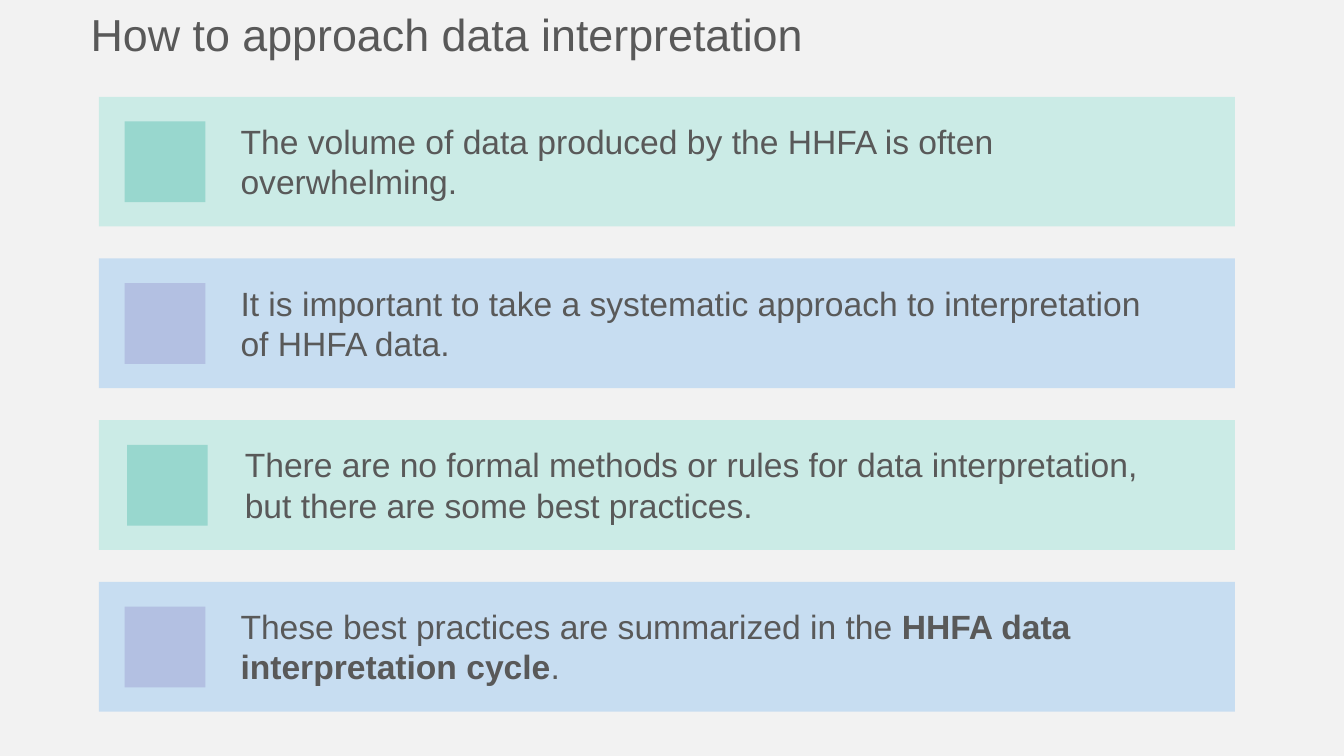
from dataclasses import dataclass

from pptx import Presentation
from pptx import util as u
from pptx.dml.color import RGBColor
from pptx.enum import shapes, text

WIDE, HIGH = u.Inches(13.33), u.Inches(7.5)
FONT = "Arial"
PAPER = RGBColor(0xF2, 0xF2, 0xF2)
INK = RGBColor(0x59, 0x59, 0x59)
MINT = RGBColor(0xCB, 0xEB, 0xE6)
TEAL = RGBColor(0x98, 0xD7, 0xCE)
SKY = RGBColor(0xC7, 0xDD, 0xF1)
LILAC = RGBColor(0xB3, 0xC0, 0xE2)
TINTS = ((MINT, TEAL), (SKY, LILAC))
TOP, STEP = 12.8, 21.39


@dataclass(frozen=True)
class Area:
    left: float
    top: float
    width: float
    height: float

    def place(self) -> tuple[int, int, int, int]:
        return (int(WIDE * self.left / 100), int(HIGH * self.top / 100),
                int(WIDE * self.width / 100), int(HIGH * self.height / 100))


@dataclass(frozen=True)
class Run:
    words: str
    bold: bool = False
    split: bool = False


@dataclass(frozen=True)
class Point:
    runs: tuple[Run, ...]
    mark: float = 9.28
    left: float = 17.16
    width: float = 73.6


POINTS = (
    Point((Run("The volume of data produced by the HHFA is often overwhelming."),),
          width=72.02),
    Point((Run("It is important to take a systematic approach to interpretation ",
               split=True),
           Run("of HHFA data."))),
    Point((Run("There are no formal methods or rules for data interpretation, "
               "but there are some best practices."),),
          mark=9.45, left=17.48, width=71.7),
    Point((Run("These best practices are summarized in the "),
           Run("HHFA data interpretation cycle", bold=True),
           Run("."))),
)


def add_block(slide, area: Area, tint: RGBColor) -> None:
    block = slide.shapes.add_shape(shapes.MSO_SHAPE.RECTANGLE, *area.place())
    block.shadow.inherit = False
    block.fill.solid()
    block.fill.fore_color.rgb = tint
    block.line.fill.background()


def add_text(slide, area: Area, runs: tuple[Run, ...], size: int) -> None:
    frame = slide.shapes.add_textbox(*area.place()).text_frame
    frame.word_wrap = True
    frame.auto_size = text.MSO_AUTO_SIZE.SHAPE_TO_FIT_TEXT
    line = frame.paragraphs[0]
    for part in runs:
        run = line.add_run()
        run.text = part.words
        run.font.name = FONT
        run.font.size = u.Pt(size)
        run.font.bold = part.bold
        run.font.color.rgb = INK
        if part.split:
            line.add_line_break()


def add_point(slide, row: int, point: Point) -> None:
    top = TOP + row * STEP
    band, mark = TINTS[row % len(TINTS)]
    add_block(slide, Area(7.36, top, 84.52, 17.15), band)
    add_block(slide, Area(point.mark, top + 3.27, 6, 10.67), mark)
    add_text(slide, Area(point.left, top + 2.53, point.width, 12.13),
             point.runs, 24)


def main() -> None:
    deck = Presentation()
    deck.slide_width, deck.slide_height = WIDE, HIGH
    slide = deck.slides.add_slide(deck.slide_layouts[6])
    slide.background.fill.solid()
    slide.background.fill.fore_color.rgb = PAPER
    add_text(slide, Area(6, 0.27, 92.87, 8.53),
             (Run("How to approach data interpretation"),), 32)
    for row, point in enumerate(POINTS):
        add_point(slide, row, point)
    deck.save("out.pptx")


if __name__ == "__main__":
    main()
